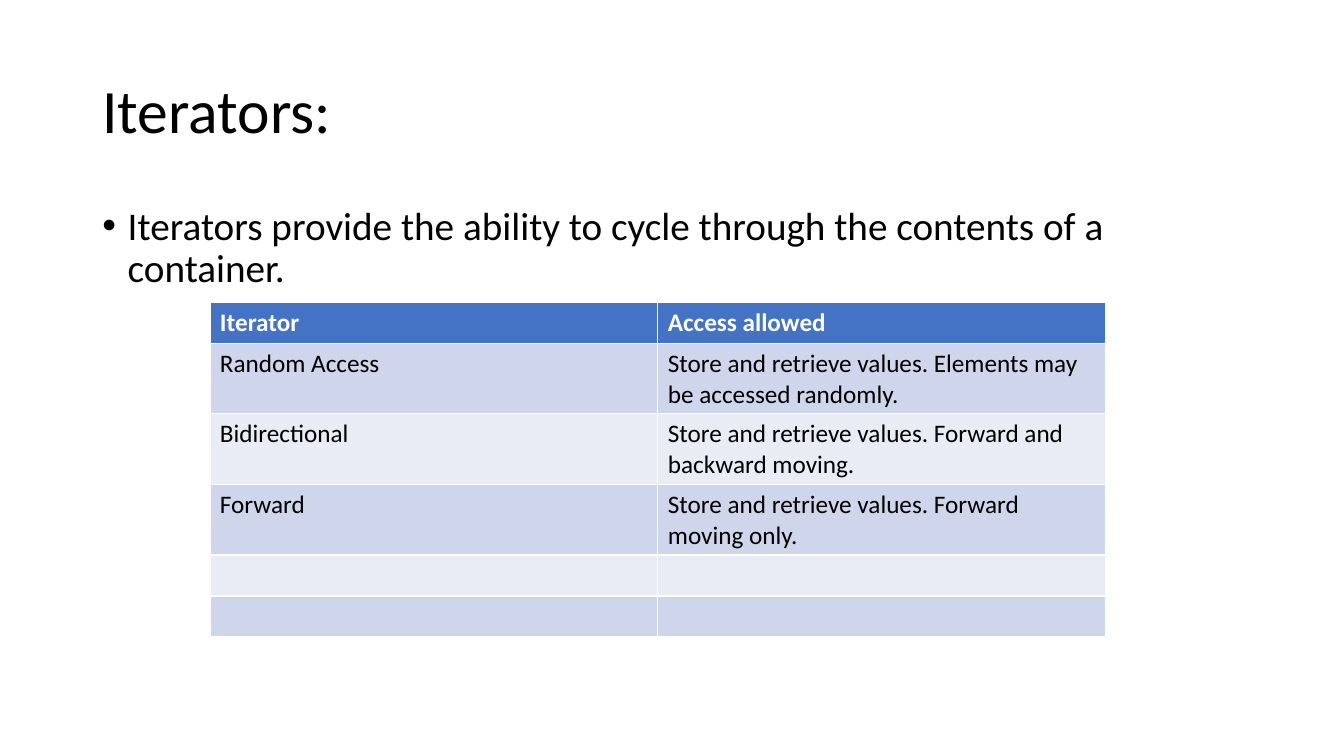
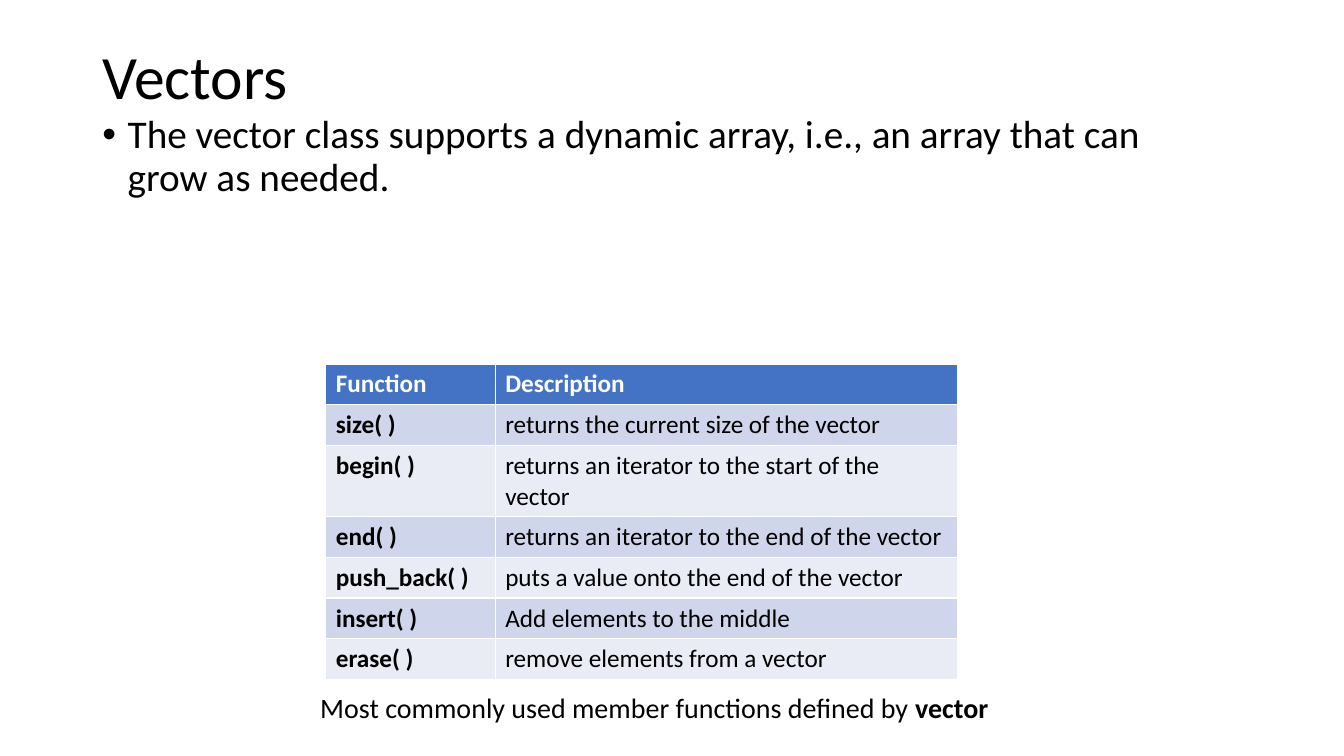
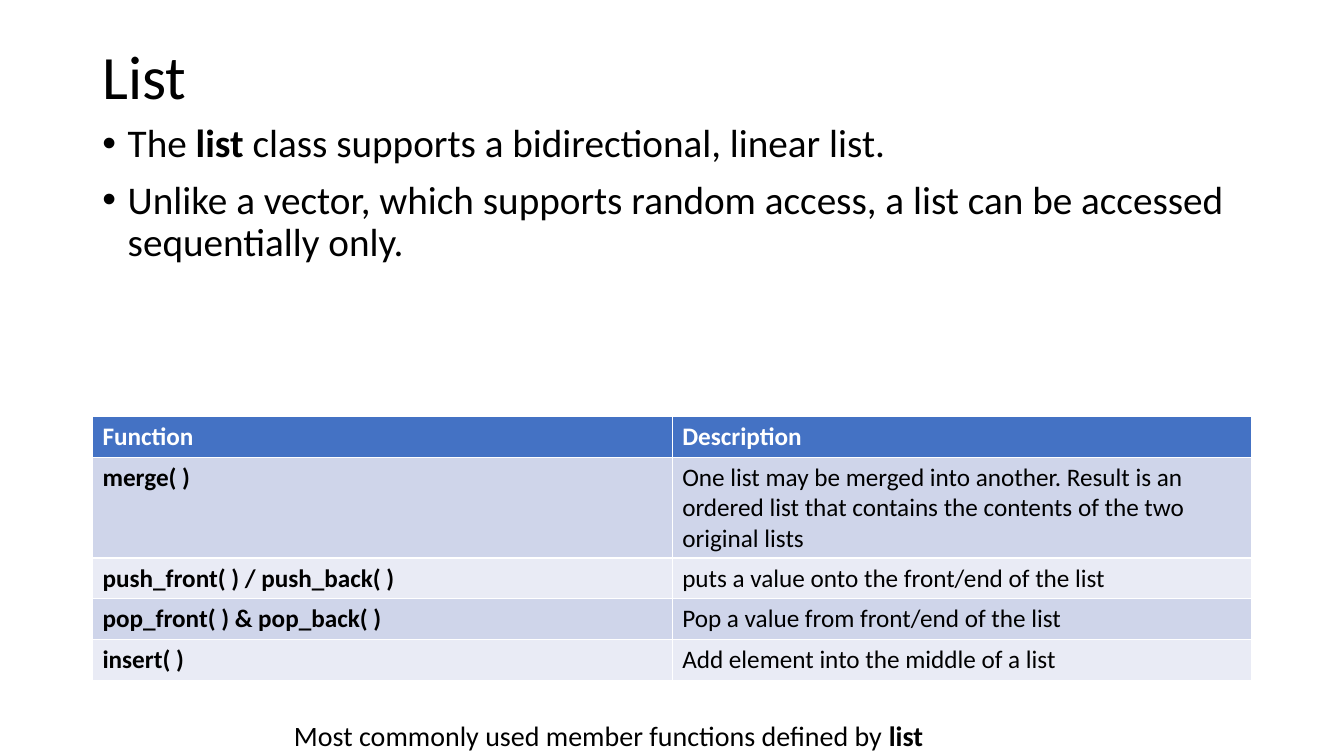
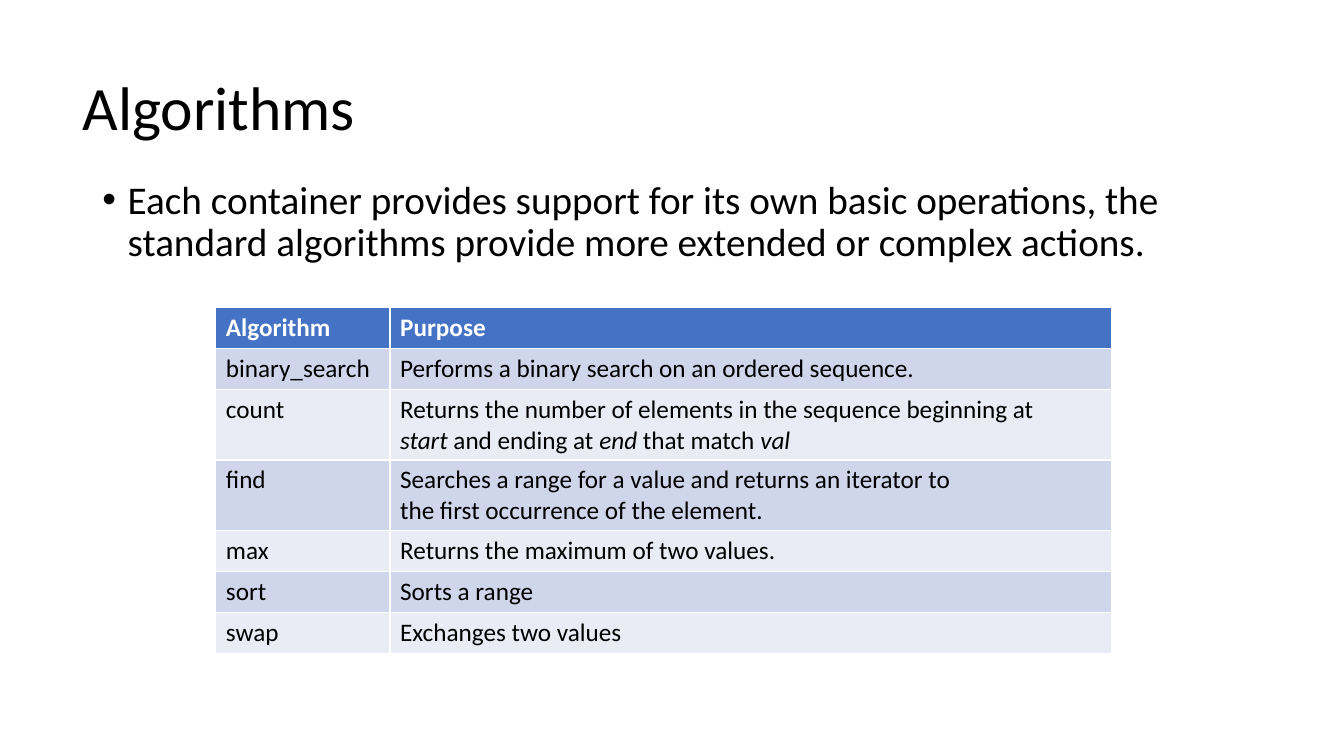
from lxml.etree import SubElement
from pptx import Presentation
from pptx.dml.color import RGBColor
from pptx.enum.text import MSO_ANCHOR
from pptx.oxml.ns import qn
from pptx.util import Cm, Pt

FONT = "Calibri"
BLACK = RGBColor(0x00, 0x00, 0x00)
WHITE = RGBColor(0xFF, 0xFF, 0xFF)
HEADER = RGBColor(0x44, 0x72, 0xC4)
BANDS = [RGBColor(0xE9, 0xEB, 0xF5), RGBColor(0xCF, 0xD5, 0xEA)]

LEFT, WIDTH = 2.33, 29.21
ROW_HEIGHT = 1.03

# Boxes are left, top, width, height in cm; *stars* mark emphasised words
SLIDES = [
    {
        "title": ("Iterators:", (LEFT, 1.01, WIDTH, 3.68)),
        "body": ("Iterators provide the ability to cycle through the contents of a container.",
                 (LEFT, 5.08, WIDTH, 12.09)),
        "table": [
            ("Iterator", "Access allowed"),
            ("Random Access", "Store and retrieve values. Elements may be accessed randomly."),
            ("Bidirectional", "Store and retrieve values. Forward and backward moving."),
            ("Forward", "Store and retrieve values. Forward moving only."),
            ("", ""),
            ("", ""),
        ],
        "table_at": (5.29, 7.62),
        "columns": (11.29, 11.29),
    },
    {
        "title": ("Vectors", (LEFT, 1.01, WIDTH, 1.98)),
        "body": ("The vector class supports a dynamic array, i.e., an array that can grow as needed.",
                 (LEFT, 2.77, 28.27, 6.4)),
        "table": [
            ("Function", "Description"),
            ("*size( )*", "returns the current size of the vector"),
            ("*begin( )*", "returns an iterator to the start of the vector"),
            ("*end( )*", "returns an iterator to the end of the vector"),
            ("*push_back( )*", "puts a value onto the end of the vector"),
            ("*insert( )*", "Add elements to the middle"),
            ("*erase( )*", "remove elements from a vector"),
        ],
        "table_at": (8.21, 9.17),
        "columns": (4.27, 11.66),
        "caption": ("Most commonly used member functions defined by *vector*",
                    (7.82, 17.12, 26.04, 1.5)),
    },
    {
        "title": ("List", (LEFT, 1.01, WIDTH, 1.98)),
        "body": ("The *list *class supports a bidirectional, linear list.\n"
                 "Unlike a vector, which supports random access, a list can be accessed sequentially only.",
                 (LEFT, 3, WIDTH, 14.17)),
        "table": [
            ("Function", "Description"),
            ("*merge( )*", "One list may be merged into another. Result is an ordered list "
                           "that contains the contents of the two original lists"),
            ("*push_front( ) / push_back( )*", "puts a value onto the front/end of the list"),
            ("*pop_front( ) & pop_back( )*", "Pop a value from front/end of the list"),
            ("*insert( )*", "Add element into the middle of a list"),
        ],
        "table_at": (LEFT, 10.49),
        "columns": (14.61, 14.61),
        "caption": ("Most commonly used member functions defined by *list*",
                    (7.16, 17.83, 26.04, 1.5)),
    },
    {
        "title": ("Algorithms", (1.83, 1.47, WIDTH, 2.64)),
        "body": ("Each container provides support for its own basic operations, the standard "
                 "algorithms provide more extended or complex actions.",
                 (LEFT, 4.42, WIDTH, 13.67)),
        "table": [
            ("Algorithm", "Purpose"),
            ("binary_search", "Performs a binary search on an ordered sequence."),
            ("count", "Returns the number of elements in the sequence beginning at\n"
                      "*start *and ending at *end *that match *val*"),
            ("find", "Searches a range for a value and returns an iterator to\n"
                     "the first occurrence of the element."),
            ("max", "Returns the maximum of two values."),
            ("sort", "Sorts a range"),
            ("swap", "Exchanges two values"),
        ],
        "table_at": (5.44, 7.75),
        "columns": (4.39, 18.19),
    },
]


def write(tf, text, size, color=BLACK, bold=False, italic_stars=False):
    """Fill a text frame, one paragraph a line; starred words turn bold or italic."""
    for i, line in enumerate(text.split("\n")):
        p = tf.paragraphs[0] if i == 0 else tf.add_paragraph()
        for j, part in enumerate(line.split("*")):
            if not part:
                continue
            starred = j % 2 == 1
            r = p.add_run()
            r.text = part
            r.font.name = FONT
            r.font.size = Pt(size)
            r.font.color.rgb = color
            r.font.bold = bold or (starred and not italic_stars)
            r.font.italic = starred and italic_stars


def add_text(s, text, box, size, anchor=MSO_ANCHOR.MIDDLE):
    tf = s.shapes.add_textbox(*map(Cm, box)).text_frame
    tf.word_wrap = True
    tf.vertical_anchor = anchor
    write(tf, text, size)
    for p in tf.paragraphs:
        p.line_spacing = 0.9
    return tf


prs = Presentation()
prs.slide_width, prs.slide_height = Cm(33.87), Cm(19.05)

for content in SLIDES:
    s = prs.slides.add_slide(prs.slide_layouts[6])

    # Title
    add_text(s, *content["title"], 44)

    # Bulleted text
    tf = add_text(s, *content["body"], 28, MSO_ANCHOR.TOP)
    for i, p in enumerate(tf.paragraphs):
        if i:
            p.space_before = Pt(10)
        pPr = p._p.get_or_add_pPr()
        pPr.set("marL", str(Cm(0.64)))
        pPr.set("indent", str(-Cm(0.64)))
        SubElement(pPr, qn("a:buFont")).set("typeface", "Arial")
        SubElement(pPr, qn("a:buChar")).set("char", "•")

    # Table
    rows, columns = content["table"], content["columns"]
    left, top = content["table_at"]
    table = s.shapes.add_table(len(rows), len(columns), Cm(left), Cm(top),
                               Cm(sum(columns)), Cm(ROW_HEIGHT * len(rows))).table
    for column, width in zip(table.columns, columns):
        column.width = Cm(width)
    for i, row in enumerate(rows):
        for j, text in enumerate(row):
            cell = table.cell(i, j)
            cell.fill.solid()
            cell.fill.fore_color.rgb = BANDS[i % 2] if i else HEADER
            write(cell.text_frame, text, 18, BLACK if i else WHITE,
                  bold=i == 0, italic_stars=j == 1)

    # Caption
    if "caption" in content:
        add_text(s, *content["caption"], 20)

prs.save("out.pptx")
